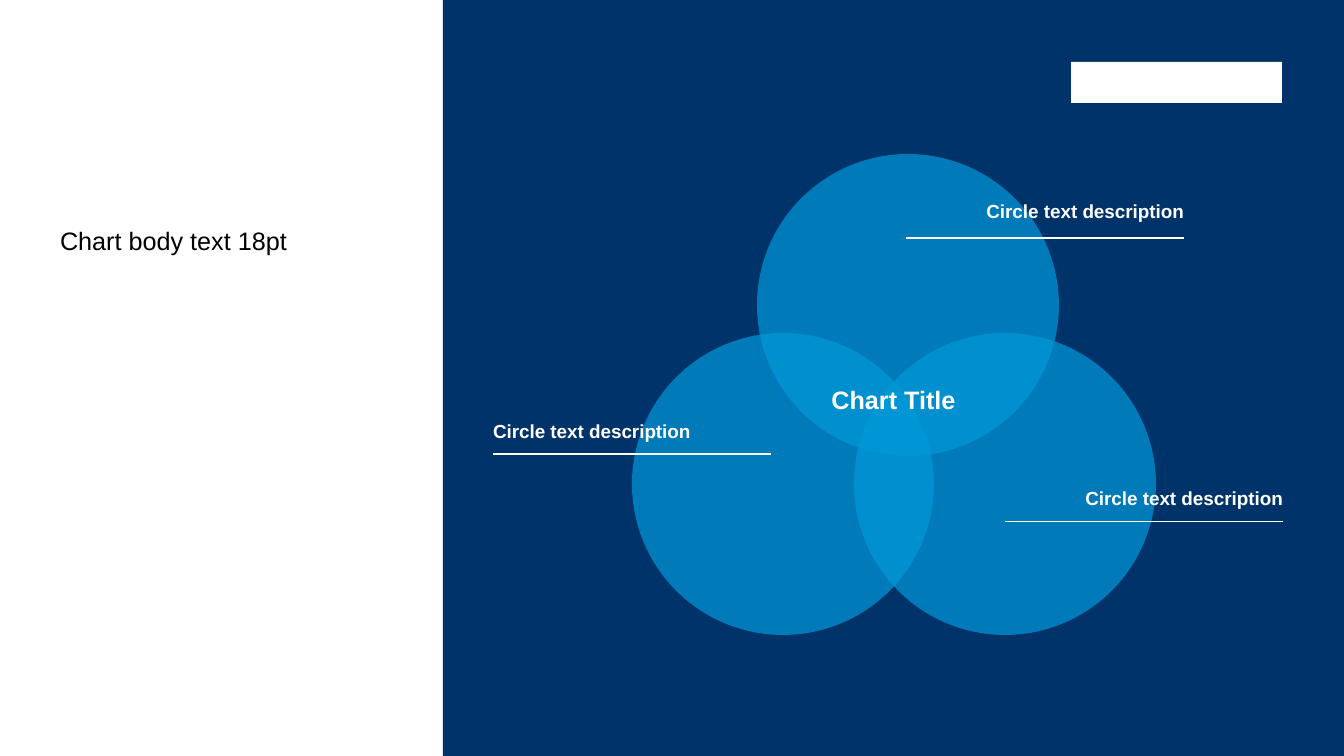
from pptx import Presentation
from pptx.dml.color import RGBColor
from pptx.enum.shapes import MSO_CONNECTOR as Connector, MSO_SHAPE as Shape
from pptx.enum.text import PP_ALIGN as Align
from pptx.oxml.ns import qn
from pptx.util import Pt
from lxml.etree import SubElement

NAVY = RGBColor(0x00, 0x33, 0x69)
BLUE = RGBColor(0x00, 0x99, 0xDA)
WHITE = RGBColor(0xFF, 0xFF, 0xFF)
BLACK = RGBColor(0x00, 0x00, 0x00)

EMU_PER_PX = 914400 / 100.8
DIAMETER = 302
LABEL_WIDTH = 278


def px(*lengths):
    return [round(length * EMU_PER_PX) for length in lengths]


class SlideBuilder:
    font_name = "Arial"

    def __init__(self, page):
        self.page = page

    def shape(self, kind, left, top, width, height, fill, opacity=100):
        shape = self.page.shapes.add_shape(kind, *px(left, top, width, height))
        shape.shadow.inherit = False
        shape.line.fill.background()
        shape.fill.solid()
        shape.fill.fore_color.rgb = fill
        if opacity < 100:
            color = shape.fill._xPr.find(qn("a:solidFill"))[0]
            SubElement(color, qn("a:alpha"), val=str(opacity * 1000))

    def rule(self, left, top, width):
        line = self.page.shapes.add_connector(
            Connector.STRAIGHT, *px(left, top, left + width, top))
        line.line.color.rgb = WHITE
        line.line.width = Pt(0.75)
        SubElement(line._element.spPr, qn("a:effectLst"))

    def text(self, words, left, top, width, height, size,
             color=WHITE, bold=True, align=Align.LEFT):
        box = self.page.shapes.add_textbox(*px(left, top, width, height))
        frame = box.text_frame
        frame.word_wrap = True
        frame.margin_left = frame.margin_right = 0
        para = frame.paragraphs[0]
        para.alignment = align
        span = para.add_run()
        span.text = words
        span.font.name = self.font_name
        span.font.size = Pt(size)
        span.font.bold = bold
        span.font.color.rgb = color


def main():
    deck = Presentation()
    deck.slide_width, deck.slide_height = px(1344, 756)
    builder = SlideBuilder(deck.slides.add_slide(deck.slide_layouts[6]))

    # Dark panel with a plain block in the corner
    builder.shape(Shape.RECTANGLE, 443, 0, 901, 756, NAVY)
    builder.shape(Shape.RECTANGLE, 1071, 62, 211, 41, WHITE)

    # Body text
    builder.text("Chart body text 18pt", 60, 220, 306, 477, 18, BLACK, False)

    # Overlapping circles
    for left, top in ((632, 333), (854, 333), (757, 154)):
        builder.shape(Shape.OVAL, left, top, DIAMETER, DIAMETER, BLUE, 70)
    builder.text("Chart Title", 743, 379, 301, 40, 18, align=Align.CENTER)

    # Circle labels: left, text top, rule height, alignment
    labels = (
        (493, 415, 454, Align.LEFT),
        (906, 195, 238, Align.RIGHT),
        (1005, 482, 522, Align.RIGHT),
    )
    for left, top, rule_top, align in labels:
        builder.rule(left, rule_top, LABEL_WIDTH)
        builder.text("Circle text description", left, top, LABEL_WIDTH, 33,
                     13.5, align=align)

    deck.save("out.pptx")


if __name__ == "__main__":
    main()
